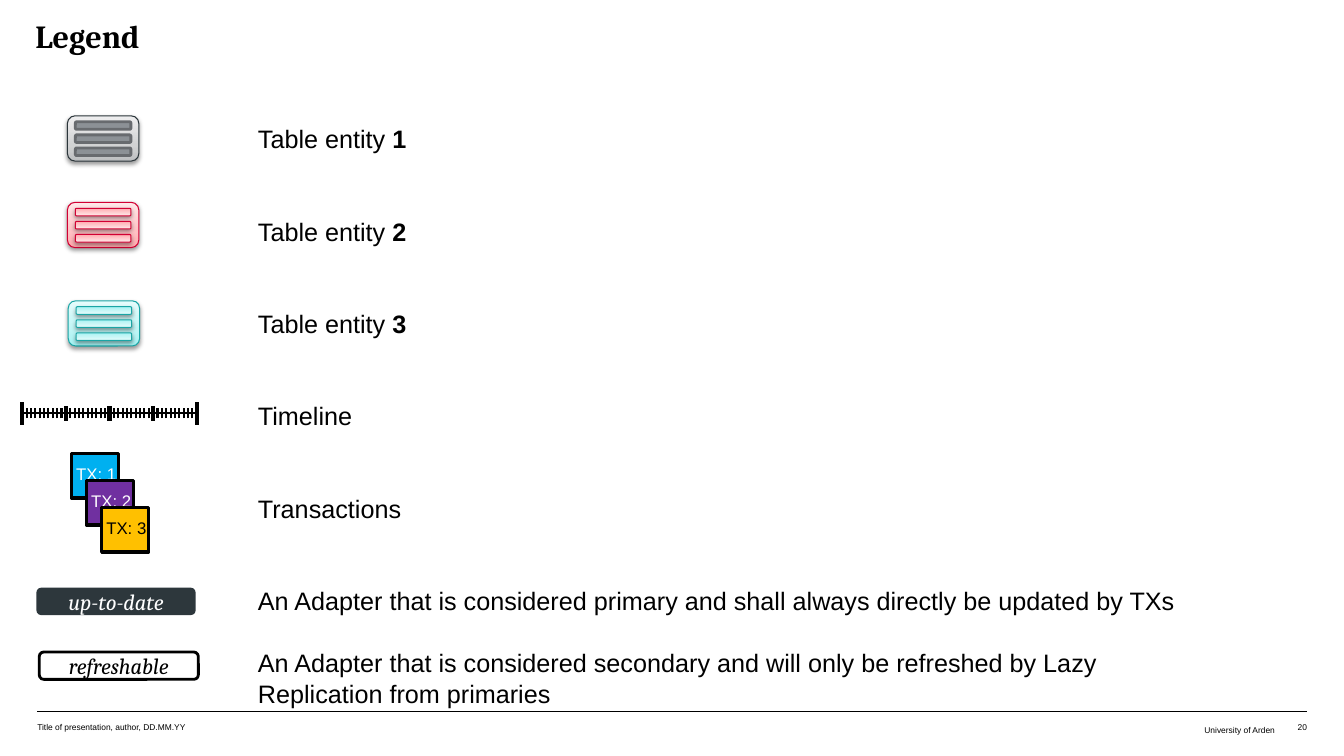
from copy import deepcopy

from pptx import Presentation
from pptx import util as u
from pptx.dml.color import RGBColor
from pptx.enum import shapes, text
from pptx.oxml import parse_xml
from pptx.oxml.ns import nsdecls, qn

SHADOW = ('<a:outerShdw %s blurRad="39370" dist="20320" dir="5400000" rotWithShape="0">'
          '<a:srgbClr val="000000"><a:alpha val="38000"/></a:srgbClr></a:outerShdw>')
LEFT, CENTER, RIGHT = text.PP_ALIGN.LEFT, text.PP_ALIGN.CENTER, text.PP_ALIGN.RIGHT
RECT, ROUND = shapes.MSO_SHAPE.RECTANGLE, shapes.MSO_SHAPE.ROUNDED_RECTANGLE


def rgb(value):
    """Turn a hex string into a colour."""
    return RGBColor.from_string(value)


def cm(*values):
    """Turn numbers into lengths in centimetres."""
    return [u.Cm(v) for v in values]


class Deck:
    """Holds the slide style and the current slide."""

    black, white = "000000", "FFFFFF"
    sans, serif = "Arial", "Cambria"

    def __init__(self):
        """Open a wide presentation with one slide."""
        self.prs = Presentation()
        self.prs.slide_width, self.prs.slide_height = cm(33.87, 19.05)
        self.s = self.prs.slides.add_slide(self.prs.slide_layouts[1])

    def group(self):
        """Add an empty group and return its shapes."""
        return self.s.shapes.add_group_shape().shapes

    def frame(self, sp, inset=(0, 0, 0, 0), anchor=text.MSO_ANCHOR.TOP):
        """Prepare the text frame of a shape."""
        tf = sp.text_frame
        tf.word_wrap = True
        tf.auto_size = text.MSO_AUTO_SIZE.NONE
        tf.vertical_anchor = anchor
        tf.margin_left, tf.margin_top, tf.margin_right, tf.margin_bottom = cm(*inset)
        return tf

    def format(self, p, align=LEFT, spacing=None, before=0):
        """Set alignment and spacing of a paragraph, in points."""
        p.alignment = align
        p.space_before = u.Pt(before)
        if spacing:
            p.line_spacing = u.Pt(spacing)

    def run(self, p, words, size, font=sans, color=black, bold=False, italic=False):
        """Add one formatted run."""
        r = p.add_run()
        r.text = words
        r.font.size, r.font.name = u.Pt(size), font
        r.font.bold, r.font.italic = bold, italic
        r.font.color.rgb = rgb(color)

    def place(self, sp, box):
        """Move and size a placeholder."""
        sp.left, sp.top, sp.width, sp.height = cm(*box)

    def title(self, words, box):
        """Fill the title placeholder."""
        sp = self.s.shapes.title
        self.place(sp, box)
        p = self.frame(sp).paragraphs[0]
        self.format(p, spacing=25)
        self.run(p, words, 23, self.serif, bold=True)

    def entries(self, rows, box):
        """Fill the body with (gap before, words, bold words) rows."""
        sp = self.s.placeholders[1]
        self.place(sp, box)
        tf = self.frame(sp)
        for i, (gap, words, strong) in enumerate(rows):
            p = tf.add_paragraph() if i else tf.paragraphs[0]
            self.format(p, spacing=22, before=gap)
            pPr = p._p.get_or_add_pPr()
            pPr.set("marL", "0")
            pPr.set("indent", "0")
            pPr.append(parse_xml("<a:buNone %s/>" % nsdecls("a")))
            self.run(p, words, 18)
            if strong:
                self.run(p, strong, 18, bold=True)

    def note(self, words, box, align=LEFT, inset=(0, 0.05, 0, 0)):
        """Add a small footer text."""
        p = self.frame(self.s.shapes.add_textbox(*cm(*box)), inset).paragraphs[0]
        self.format(p, align)
        self.run(p, words, 6)

    def shape(self, kind, box, fill, line=None, width=0.75, on=None):
        """Add a preset shape with a plain fill."""
        sp = (on or self.s.shapes).add_shape(kind, *cm(*box))
        sp.shadow.inherit = False
        sp.fill.solid()
        sp.fill.fore_color.rgb = rgb(fill)
        if line:
            sp.line.color.rgb, sp.line.width = rgb(line), u.Pt(width)
        else:
            sp.line.fill.background()
        return sp

    def glossy(self, box, colors, line, on, angle=90):
        """Add a rounded shape with a three-stop gradient and a soft shadow."""
        sp = self.shape(ROUND, box, colors[0], line, on=on)
        sp.fill.gradient()
        sp.fill.gradient_angle = angle
        spPr = sp._element.spPr
        stops = spPr.find(qn("a:gradFill")).find(qn("a:gsLst"))
        stops.insert(1, deepcopy(stops[0]))
        for stop, color, position in zip(sp.fill.gradient_stops, colors, (0, 0.35, 1)):
            stop.color.rgb, stop.position = rgb(color), position
        spPr.find(qn("a:effectLst")).append(parse_xml(SHADOW % nsdecls("a")))

    def entity(self, x, y, colors, line, bar=None):
        """Add a table icon with three rows; bar is a plain (fill, line)."""
        on = self.group()
        self.glossy((x, y, 1.8, 1.14), colors, line, on)
        for i in range(3):
            box = (x + 0.2, y + 0.15 + 0.33 * i, 1.4, 0.19)
            if bar:
                self.shape(ROUND, box, *bar, width=2, on=on)
            else:
                self.glossy(box, colors, line, on, angle=270)

    def badge(self, words, x, y, fill, color, line=None):
        """Add a rounded state label."""
        sp = self.shape(ROUND, (x, y, 4.01, 0.69), fill, line, 2)
        tf = self.frame(sp, (0.25, 0.13, 0.25, 0.13), text.MSO_ANCHOR.MIDDLE)
        self.format(tf.paragraphs[0], CENTER)
        self.run(tf.paragraphs[0], words, 16, self.serif, color, italic=True)

    def transaction(self, words, x, y, fill, color, on):
        """Add one transaction square."""
        sp = self.shape(RECT, (x, y, 1.19, 1.12), fill, self.black, 2.25, on)
        p = self.frame(sp, (0.12, 0, 0, 0)).paragraphs[0]
        self.format(p, spacing=22)
        self.run(p, words, 12, color=color)

    def line(self, x1, y1, x2, y2, width, on=None):
        """Add a straight black line."""
        c = (on or self.s.shapes).add_connector(
            shapes.MSO_CONNECTOR.STRAIGHT, *cm(x1, y1, x2, y2))
        c.line.color.rgb, c.line.width = rgb(self.black), u.Pt(width)
        c._element.spPr.append(parse_xml("<a:effectLst %s/>" % nsdecls("a")))

    def timeline(self, x, y, step=0.11, count=40):
        """Add a ruler with a bold tick every ten steps."""
        on = self.group()
        self.line(x - 0.05, y, x + count * step + 0.05, y, 1, on)
        for i in range(count + 1):
            at = x + i * step
            self.line(at, y + 0.13, at, y - 0.13, 1.5, on)
            if i % 10 == 0:
                half = 0.29 if i in (0, count) else 0.19
                self.line(at, y + half, at, y - half, 3, on)


deck = Deck()
deck.title("Legend", (0.89, 0.51, 32, 2.11))
deck.entries([
    (0, "Table entity ", "1"),
    (44, "Table entity ", "2"),
    (44, "Table entity ", "3"),
    (44, "Timeline", ""),
    (44, "Transactions", ""),
    (44, "An Adapter that is considered primary and shall always directly be "
         "updated by TXs", ""),
    (22, "An Adapter that is considered secondary and will only be refreshed by "
         "Lazy Replication from primaries", ""),
], (6.5, 3.1, 23.6, 13.79))

deck.entity(1.7, 2.92, ("BDBFC1", "D1D2D3", "EEEEEF"), "2C363B", ("8C9196", "686B6F"))
deck.entity(1.7, 5.1, ("FFA8AC", "FFC1C4", "FFE8E9"), "D20033")
deck.entity(1.72, 7.58, ("A2F3F3", "BFF5F5", "E6FCFC"), "1AA5A5")
deck.timeline(0.56, 10.41)

squares = deck.group()
for i, (fill, color) in enumerate([("00B0F0", deck.white), ("7030A0", deck.white),
                                   ("FFC000", deck.black)]):
    deck.transaction(f"TX: {i + 1}", 1.8 + 0.38 * i, 11.43 + 0.68 * i, fill, color, squares)

deck.badge("up-to-date", 0.92, 14.81, "2D373C", deck.white)
deck.badge("refreshable", 0.99, 16.43, deck.white, deck.black, deck.black)

deck.line(0.94, 17.93, 32.94, 17.93, 0.25)
deck.note("Title of presentation, author, DD.MM.YY", (0.94, 18.14, 8, 0.51))
deck.note("University of Arden", (25.32, 18.14, 7.06, 0.51), RIGHT, (0.25, 0.13, 0.25, 0.13))
deck.note("20", (32.41, 18.14, 0.53, 0.51), RIGHT)
deck.prs.save("out.pptx")
